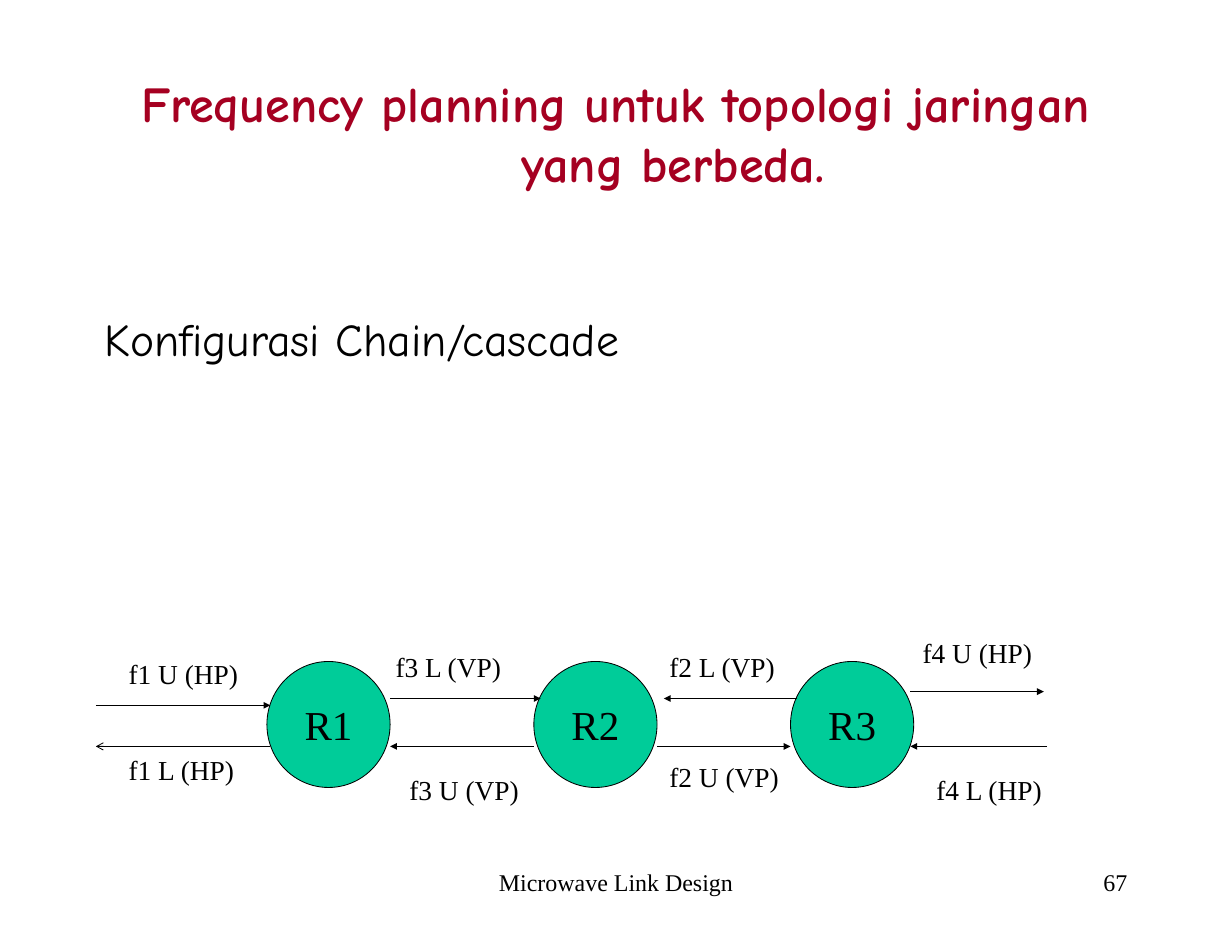
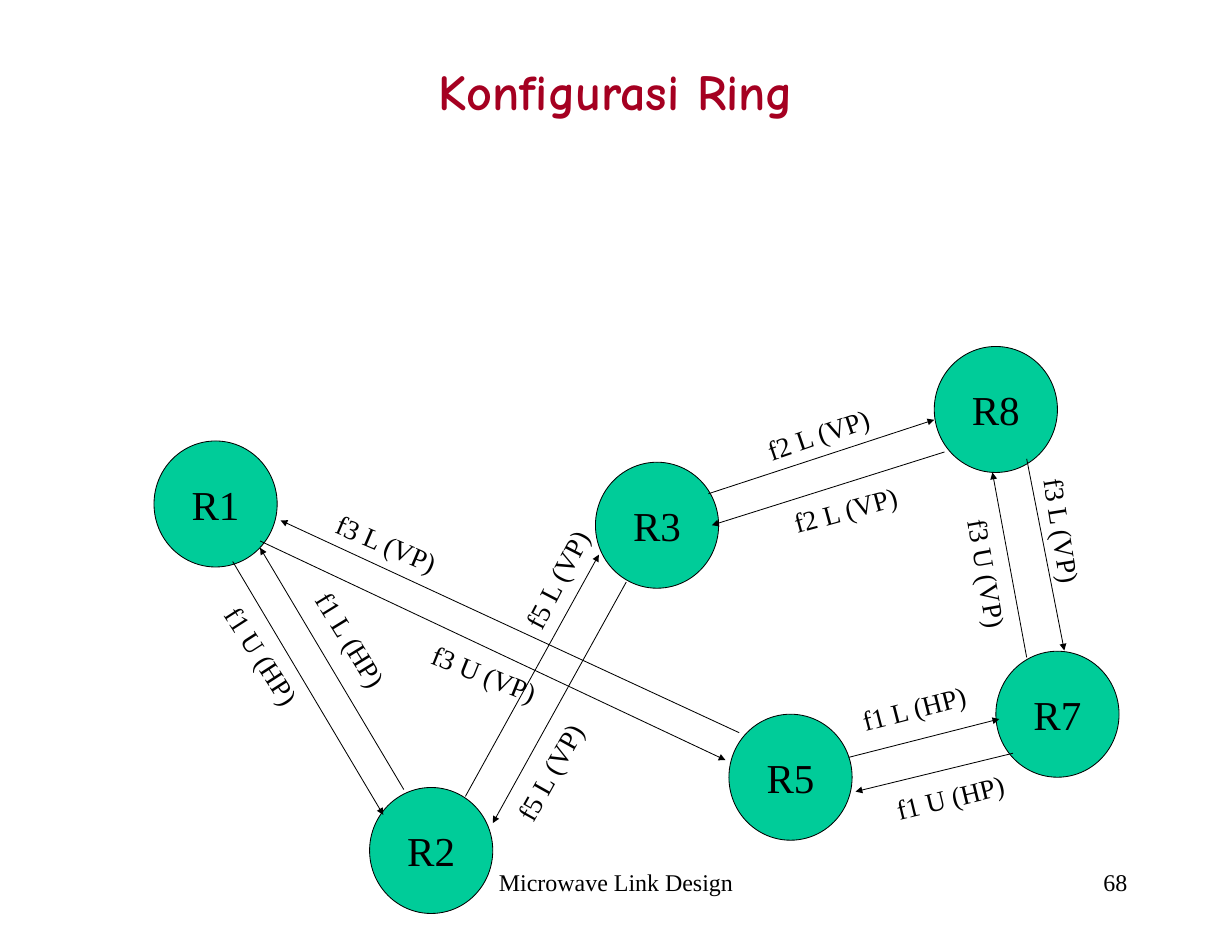
import pptx
import pptx.dml.color
import pptx.enum.shapes
import pptx.enum.text
import pptx.oxml.ns
import pptx.util
from lxml import etree

COLUMNS, ROWS = 180, 138
CELL = pptx.util.Inches(15) // COLUMNS
COLOURS = {"title": "A50021", "text": "000000", "node": "00CC99", "line": "000000"}
ALIGN = pptx.enum.text.PP_ALIGN
ANCHOR = pptx.enum.text.MSO_ANCHOR
MARGINS = {"margin_left": 0.15, "margin_right": 0.15, "margin_top": 0.08, "margin_bottom": 0.08}
SERIF = "Times New Roman"
SANS = "Comic Neue"
NODE_SIZE = (18, 18.4)
TITLE_LEFT, TITLE_WIDTH = 13.5, 153
TITLE_LINE = 0.73
FOOTER_TOP, FOOTER_HEIGHT = 125.7, 9.2

# Each node: name, centre column, centre row
CHAIN_NODES = [("R1", 48, 105.8), ("R2", 87, 105.8), ("R3", 124.5, 105.8)]
RING_NODES = [
    ("R1", 31.5, 73.6), ("R2", 63, 124.2), ("R3", 96, 76.7),
    ("R5", 115.5, 113.5), ("R8", 145.5, 59.8), ("R7", 154.5, 104.3),
]

# Each link: label, start, tip, label corner, label rotation, arrowhead
CHAIN_LINKS = [
    ("f1 U (HP)", (14, 103), (39.5, 103), (17, 95), 0, "triangle"),
    ("f1 L (HP)", (39.5, 109), (14, 109), (17, 109), 0, "arrow"),
    ("f3 L (VP)", (57, 102), (79, 102), (56, 94), 0, "triangle"),
    ("f3 U (VP)", (78, 109), (57, 109), (58, 112), 0, "triangle"),
    ("f2 L (VP)", (116.5, 102), (97, 102), (96, 94), 0, "triangle"),
    ("f2 U (VP)", (96, 109), (115.5, 109), (96, 110), 0, "triangle"),
    ("f4 U (HP)", (133, 101), (152.5, 101), (133, 92), 0, "triangle"),
    ("f4 L (HP)", (153, 109), (133, 109), (135, 112), 0, "triangle"),
]
RING_LINKS = [
    ("f1 U (HP)", (34, 82), (56, 119), (28.5, 92.5), 57.3, "triangle"),
    ("f1 L (HP)", (59, 115.3), (38, 80), (41.8, 90.2), 58.4, "triangle"),
    ("f3 L (VP)", (108, 107), (41, 76), (47, 76), 23.2, "triangle"),
    ("f3 U (VP)", (38, 79), (106, 111), (61, 95), 22, "triangle"),
    ("f5 L (VP)", (68, 116.3), (87.5, 81), (71.7, 81.2), 297.5, "triangle"),
    ("f5 L (VP)", (91.5, 85), (72, 120.2), (70.7, 109.3), 299.3, "triangle"),
    ("f2 L (VP)", (103.5, 72.1), (136.5, 61.3), (110, 60), 341.1, "triangle"),
    ("f2 L (VP)", (138, 66), (104, 76.7), (114, 71), 344.7, "triangle"),
    ("f1 L (HP)", (124, 110.6), (146, 105), (124, 100), 345.6, "triangle"),
    ("f1 U (HP)", (148, 110), (125, 115.6), (129, 113), 346.2, "triangle"),
    ("f3 L (VP)", (150, 67), (155.5, 95), (145.7, 74.3), 80.9, "triangle"),
    ("f3 U (VP)", (150, 96), (145, 69), (134.5, 80.5), 80, "triangle"),
]


def cells(*counts):
    """Turn grid columns or rows into slide lengths."""
    return [round(count * CELL) for count in counts]


def rgb(name):
    return pptx.dml.color.RGBColor.from_string(COLOURS[name])


def write(shape, words, size, align=ALIGN.LEFT, wrap=True, anchor=ANCHOR.TOP,
          font=SERIF, colour="text", bold=False):
    frame = shape.text_frame
    margins = {side: pptx.util.Inches(inches) for side, inches in MARGINS.items()}
    for key, value in {**margins, "word_wrap": wrap, "vertical_anchor": anchor}.items():
        setattr(frame, key, value)
    para = frame.paragraphs[0]
    para.alignment = align
    span = para.add_run()
    span.text = words
    for key, value in {"name": font, "size": pptx.util.Pt(size), "bold": bold}.items():
        setattr(span.font, key, value)
    span.font.color.rgb = rgb(colour)


def add_text(page, words, place, size, **style):
    box = page.shapes.add_textbox(*cells(*place))
    write(box, words, size, **style)
    return box


def add_title(page, words, top, height, hanging=0):
    """Centre the title above one free line, with an optional hanging indent in inches."""
    box = add_text(page, words, (TITLE_LEFT, top, TITLE_WIDTH, height), 44, align=ALIGN.CENTER,
                   anchor=ANCHOR.MIDDLE, font=SANS, colour="title", bold=True)
    frame = box.text_frame
    frame.margin_bottom = pptx.util.Inches(MARGINS["margin_bottom"] + TITLE_LINE)
    if hanging:
        properties = frame.paragraphs[0]._p.get_or_add_pPr()
        properties.set("marL", str(pptx.util.Inches(hanging)))
        properties.set("indent", str(-pptx.util.Inches(hanging)))


def add_footer(page, number):
    add_text(page, "Microwave Link Design", (61.5, FOOTER_TOP, 57, FOOTER_HEIGHT), 21,
             align=ALIGN.CENTER)
    add_text(page, str(number), (129, FOOTER_TOP, 37.5, FOOTER_HEIGHT), 21, align=ALIGN.RIGHT)


def add_node(page, name, column, row):
    width, height = NODE_SIZE
    place = cells(column - width / 2, row - height / 2, width, height)
    node = page.shapes.add_shape(pptx.enum.shapes.MSO_SHAPE.OVAL, *place)
    node.shadow.inherit = False
    node.fill.solid()
    node.fill.fore_color.rgb = rgb("node")
    node.line.color.rgb = rgb("line")
    node.line.width = pptx.util.Pt(0.75)
    write(node, name, 36, align=ALIGN.CENTER, wrap=False, anchor=ANCHOR.MIDDLE)


def add_arrow(page, start, tip, head):
    arrow = page.shapes.add_connector(pptx.enum.shapes.MSO_CONNECTOR.STRAIGHT,
                                      *cells(*start, *tip))
    arrow.line.color.rgb = rgb("line")
    arrow.line.width = pptx.util.Pt(0.75)
    qn = pptx.oxml.ns.qn
    etree.SubElement(arrow.line._get_or_add_ln(), qn("a:tailEnd"), type=head)
    etree.SubElement(arrow._element.spPr, qn("a:effectLst"))


def add_link(page, label, start, tip, corner, rotation, head):
    add_arrow(page, start, tip, head)
    width = 19.7 if " U " in label else 19.2
    box = add_text(page, label, (*corner, width, 6.6), 24, wrap=False)
    box.text_frame.auto_size = pptx.enum.text.MSO_AUTO_SIZE.SHAPE_TO_FIT_TEXT
    box.rotation = rotation


def add_network(page, nodes, links):
    for node in nodes:
        add_node(page, *node)
    for link in links:
        add_link(page, *link)


def add_page(deck, number):
    page = deck.slides.add_slide(deck.slide_layouts[6])
    add_footer(page, number)
    return page


def main():
    deck = pptx.Presentation()
    deck.slide_width, deck.slide_height = cells(COLUMNS, ROWS)

    chain = add_page(deck, 67)
    add_title(chain, "Frequency planning untuk topologi jaringan yang berbeda.", 12.2, 23,
              hanging=1.39)
    add_text(chain, "Konfigurasi Chain/cascade", (TITLE_LEFT, 44.4, TITLE_WIDTH, 78.2), 40,
             font=SANS)
    add_network(chain, CHAIN_NODES, CHAIN_LINKS)

    ring = add_page(deck, 68)
    add_title(ring, "Konfigurasi Ring", 0, 35.3)
    add_network(ring, RING_NODES, RING_LINKS)

    deck.save("out.pptx")


if __name__ == "__main__":
    main()
